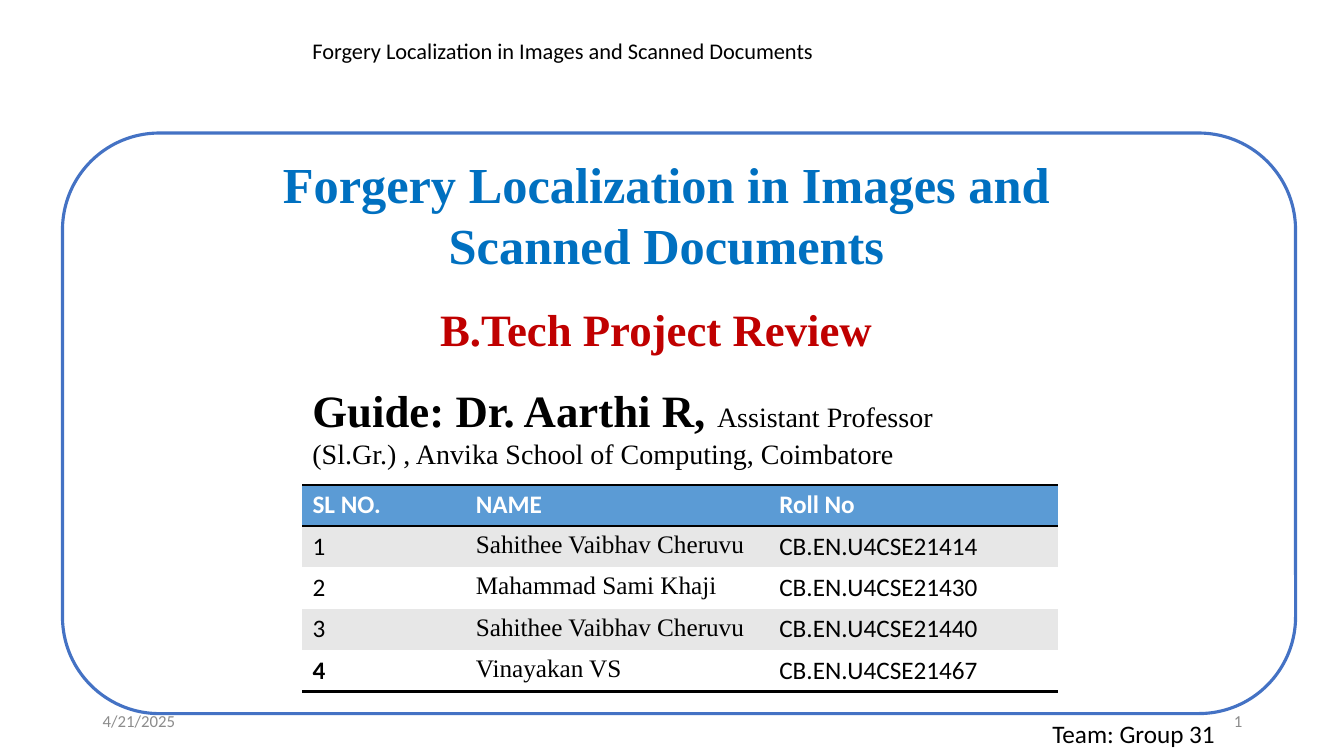
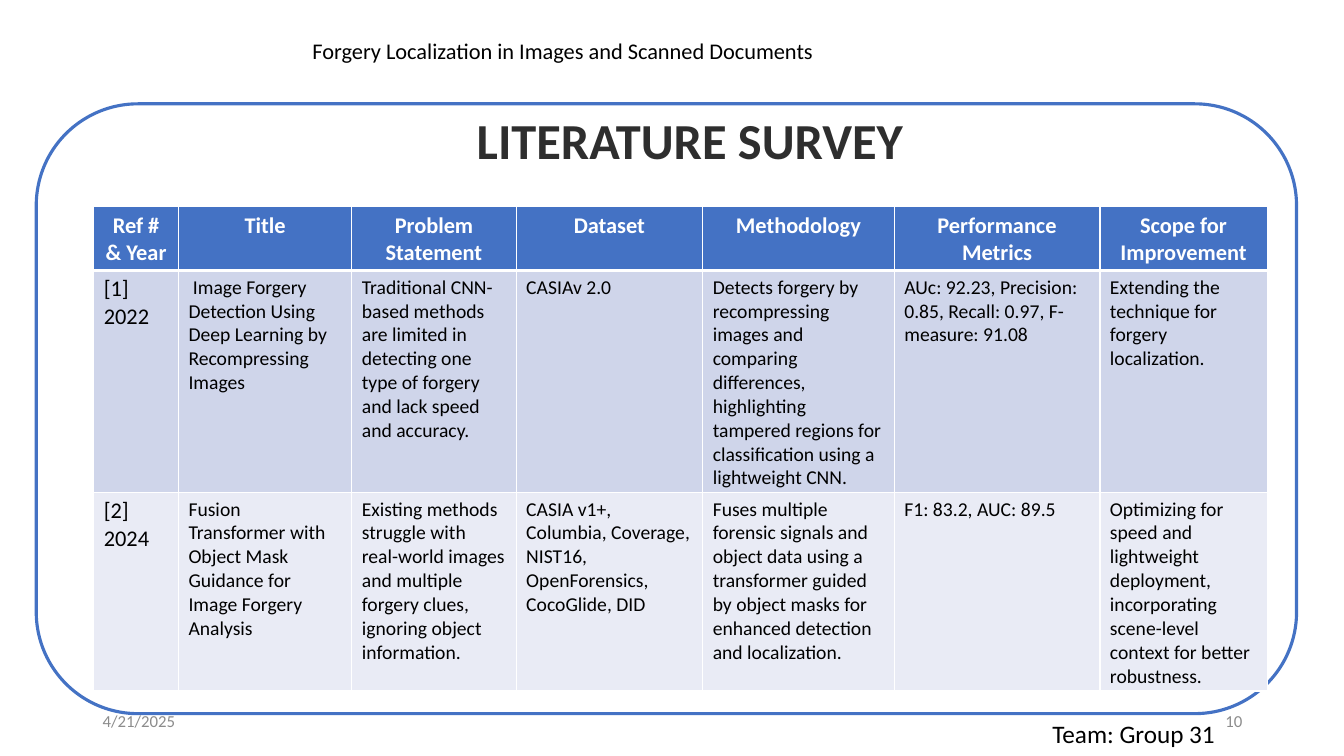
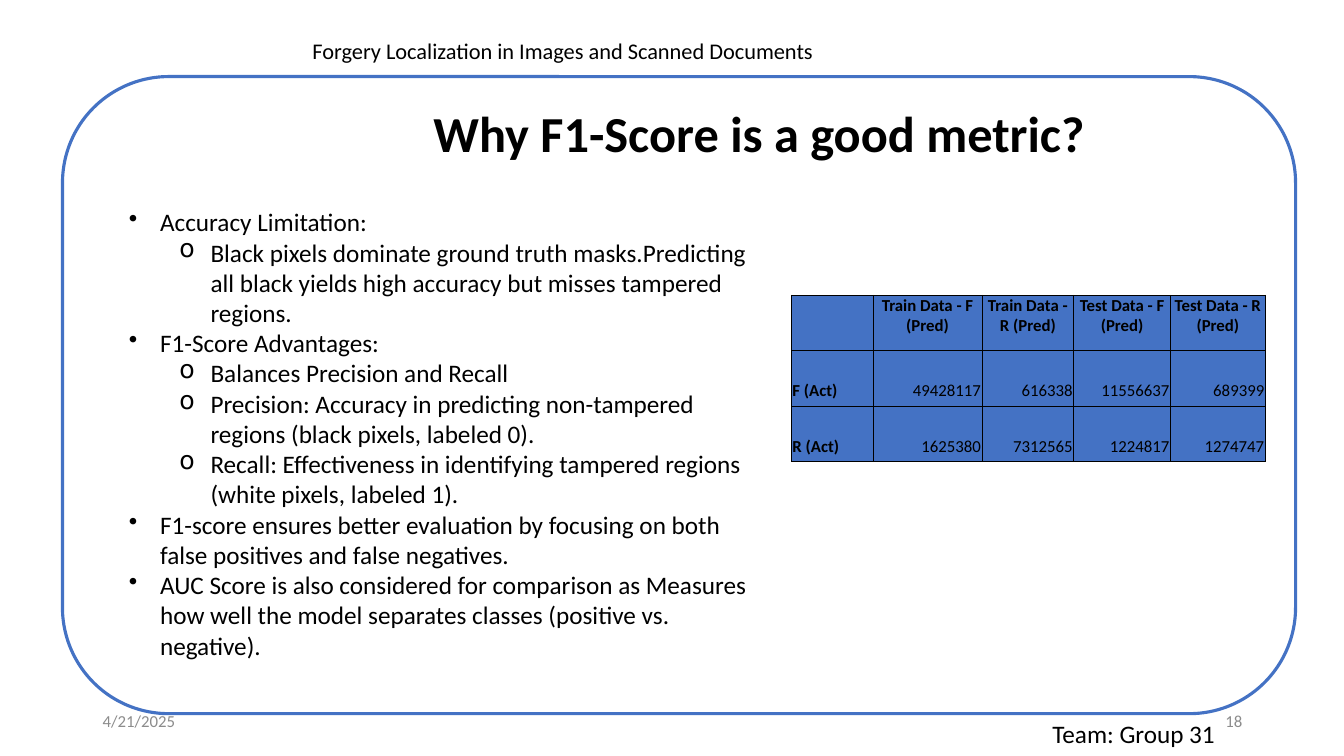
from dataclasses import dataclass, field, replace

from lxml import etree
from pptx import Presentation
from pptx.dml.color import RGBColor
from pptx.enum.shapes import MSO_SHAPE
from pptx.enum.text import MSO_ANCHOR, MSO_AUTO_SIZE, PP_ALIGN
from pptx.oxml.ns import qn
from pptx.slide import Slide
from pptx.table import _Cell
from pptx.text.text import TextFrame, _Paragraph
from pptx.util import Inches, Pt

LEFT, CENTER, RIGHT = PP_ALIGN.LEFT, PP_ALIGN.CENTER, PP_ALIGN.RIGHT
TOP, MIDDLE, BOTTOM = MSO_ANCHOR.TOP, MSO_ANCHOR.MIDDLE, MSO_ANCHOR.BOTTOM
ROUNDED = MSO_SHAPE.ROUNDED_RECTANGLE
GROW = MSO_AUTO_SIZE.SHAPE_TO_FIT_TEXT

SANS, SERIF = "Calibri", "Times New Roman"
COLORS = {
    "white": "FFFFFF",
    "black": "000000",
    "blue": "4472C4",
    "title": "0070C0",
    "review": "C00000",
    "survey": "2E2E2E",
    "footer": "8C8C8C",
    "team_header": "5B9BD5",
    "team_band": "E7E7E7",
    "survey_band": "CFD5EA",
    "survey_light": "E9EBF5",
}
PROJECT = "Forgery Localization in Images and Scanned Documents"

Box = tuple[float, float, float, float]
Border = tuple[str, float]


@dataclass(frozen=True)
class CellStyle:
    fill: str
    size: float = 18
    font: str = SANS
    color: str = "black"
    bold: bool = False
    align: PP_ALIGN = LEFT
    anchor: MSO_ANCHOR = TOP
    margins: Box = (0.1, 0.05, 0.1, 0.05)
    spacing: float | None = None
    borders: dict[str, Border] = field(default_factory=dict)


@dataclass(frozen=True)
class Bullet:
    text: str
    level: int = 0


def rgb(name: str) -> RGBColor:
    return RGBColor.from_string(COLORS[name])


def write(paragraph: _Paragraph, text: str, *, size: float = 18, font: str = SANS,
          color: str = "black", bold: bool = False, align: PP_ALIGN = LEFT,
          spacing: float | None = None) -> None:
    paragraph.alignment = align
    if spacing:
        paragraph.line_spacing = Pt(spacing)
    if not text:
        return
    run = paragraph.add_run()
    run.text = text
    run.font.size = Pt(size)
    run.font.name = font
    run.font.bold = bold
    run.font.color.rgb = rgb(color)


def add_frame(slide: Slide, box: Box, anchor: MSO_ANCHOR = TOP) -> TextFrame:
    frame = slide.shapes.add_textbox(*map(Inches, box)).text_frame
    frame.word_wrap = True
    frame.vertical_anchor = anchor
    if anchor == TOP:
        frame.auto_size = GROW
    return frame


def add_line(slide: Slide, box: Box, text: str, *, anchor: MSO_ANCHOR = TOP, **style) -> None:
    write(add_frame(slide, box, anchor).paragraphs[0], text, **style)


def add_bullets(slide: Slide, box: Box, bullets: list[Bullet]) -> None:
    frame = add_frame(slide, box)
    for index, bullet in enumerate(bullets):
        paragraph = frame.add_paragraph() if index else frame.paragraphs[0]
        paragraph.level = bullet.level
        write(paragraph, bullet.text)
        properties = paragraph._p.get_or_add_pPr()
        properties.set("marL", str(Inches(0.31 + 0.5 * bullet.level)))
        properties.set("indent", str(Inches(-0.31)))
        etree.SubElement(properties, qn("a:buChar")).set("char", "•o"[bullet.level])


def draw_borders(cell: _Cell, borders: dict[str, Border]) -> None:
    properties = cell._tc.get_or_add_tcPr()
    for side in "LRTB":
        line = etree.SubElement(properties, qn(f"a:ln{side}"))
        if side in borders:
            color, width = borders[side]
            line.set("w", str(Pt(width)))
            paint = etree.SubElement(line, qn("a:solidFill"))
            etree.SubElement(paint, qn("a:srgbClr")).set("val", COLORS[color])
        else:
            etree.SubElement(line, qn("a:noFill"))


def fill_cell(cell: _Cell, text: str, style: CellStyle) -> None:
    draw_borders(cell, style.borders)
    cell.fill.solid()
    cell.fill.fore_color.rgb = rgb(style.fill)
    cell.vertical_anchor = style.anchor
    (cell.margin_left, cell.margin_top,
     cell.margin_right, cell.margin_bottom) = map(Inches, style.margins)
    for index, line in enumerate(text.split("\n")):
        paragraph = cell.text_frame.add_paragraph() if index else cell.text_frame.paragraphs[0]
        write(paragraph, line, size=style.size, font=style.font, color=style.color,
              bold=style.bold, align=style.align, spacing=style.spacing)


def add_grid(slide: Slide, left: float, top: float, widths: list[float], heights: list[float],
             rows: list[list[str]], styles: list[list[CellStyle]]) -> None:
    table = slide.shapes.add_table(
        len(heights), len(widths), Inches(left), Inches(top),
        Inches(sum(widths)), Inches(sum(heights))).table
    table.first_row = table.horz_banding = False
    for column, width in zip(table.columns, widths):
        column.width = Inches(width)
    for row, height, texts, row_styles in zip(table.rows, heights, rows, styles):
        row.height = Inches(height)
        for cell, text, style in zip(row.cells, texts, row_styles):
            fill_cell(cell, text, style)


def add_base(deck: Presentation, panel: Box, number: int) -> Slide:
    slide = deck.slides.add_slide(deck.slide_layouts[6])
    outline = slide.shapes.add_shape(ROUNDED, *map(Inches, panel))
    outline.shadow.inherit = False
    outline.fill.background()
    outline.line.color.rgb = rgb("blue")
    outline.line.width = Pt(2.25)
    add_line(slide, (3, 0.32, 7.78, 0.64), PROJECT, size=16)
    add_line(slide, (10.34, 7.08, 2.9, 0.4), "Team: Group 31")
    footer = {"anchor": MIDDLE, "size": 12, "color": "footer"}
    add_line(slide, (0.92, 6.95, 3, 0.4), "4/21/2025", **footer)
    add_line(slide, (9.42, 6.95, 3, 0.4), str(number), align=RIGHT, **footer)
    return slide


def build_cover(deck: Presentation) -> None:
    slide = add_base(deck, (0.62, 1.32, 12.23, 5.76), 1)
    add_line(slide, (2.32, 1.47, 8.58, 1.31), PROJECT,
             size=36, font=SERIF, color="title", bold=True, align=CENTER)
    add_line(slide, (3.91, 2.94, 5.2, 0.64), "B.Tech Project Review",
             size=32, font=SERIF, color="review", bold=True, align=CENTER)
    guide = add_frame(slide, (3, 3.75, 6.86, 1.51)).paragraphs[0]
    write(guide, "Guide: Dr. Aarthi R, ", size=32, font=SERIF, bold=True)
    write(guide, "Assistant Professor (Sl.Gr.) , Anvika School of Computing, Coimbatore",
          size=20, font=SERIF)

    members = [
        ["SL NO.", "NAME", "Roll No"],
        ["1", "Sahithee Vaibhav Cheruvu", "CB.EN.U4CSE21414"],
        ["2", "Mahammad Sami Khaji", "CB.EN.U4CSE21430"],
        ["3", "Sahithee Vaibhav Cheruvu", "CB.EN.U4CSE21440"],
        ["4", "Vinayakan VS", "CB.EN.U4CSE21467"],
    ]
    rule = ("black", 2)
    header = CellStyle("team_header", color="white", bold=True, borders={"T": rule, "B": rule})
    styles = [[header] * 3]
    last = len(members) - 1
    for index in range(1, len(members)):
        borders = {"T": rule} if index == 1 else {"B": rule} if index == last else {}
        body = CellStyle("team_band" if index % 2 else "white", borders=borders)
        styles.append([replace(body, bold=index == last), replace(body, font=SERIF), body])
    add_grid(slide, 3, 4.81, [1.62, 3.01, 2.86], [0.41] * 5, members, styles)


def build_survey(deck: Presentation) -> None:
    slide = add_base(deck, (0.36, 1.03, 12.5, 6.05), 10)
    add_line(slide, (4.63, 1.03, 4.52, 0.71), "LITERATURE SURVEY",
             size=36, color="survey", bold=True)
    papers = [
        ["Ref # & Year", "Title", "Problem Statement", "Dataset", "Methodology",
         "Performance Metrics", "Scope for Improvement"],
        ["[1]\n2022",
         " Image Forgery Detection Using Deep Learning by Recompressing Images",
         "Traditional CNN-based methods are limited in detecting one type of forgery "
         "and lack speed and accuracy.",
         "CASIAv 2.0",
         "Detects forgery by recompressing images and comparing differences, highlighting "
         "tampered regions for classification using a lightweight CNN.",
         "AUc: 92.23, Precision: 0.85, Recall: 0.97, F-measure: 91.08",
         "Extending the technique for forgery localization."],
        ["[2]\n2024",
         "Fusion Transformer with Object Mask Guidance for Image Forgery Analysis",
         "Existing methods struggle with real-world images and multiple forgery clues, "
         "ignoring object information.",
         "CASIA v1+, Columbia, Coverage, NIST16, OpenForensics, CocoGlide, DID",
         "Fuses multiple forensic signals and object data using a transformer guided by "
         "object masks for enhanced detection and localization.",
         "F1: 83.2, AUC: 89.5",
         "Optimizing for speed and lightweight deployment, incorporating scene-level "
         "context for better robustness."],
    ]
    thin, thick = ("white", 1), ("white", 3)
    edges = dict.fromkeys("LRTB", thin)
    header = CellStyle("blue", size=16, color="white", bold=True, align=CENTER,
                       borders=edges | {"B": thick})
    first = CellStyle("survey_band", size=14, borders=edges | {"T": thick})
    second = CellStyle("survey_light", size=14, borders=edges)
    styles = [[header] * 7]
    styles += [[replace(body, size=16)] + [body] * 6 for body in (first, second)]
    add_grid(slide, 0.93, 2.05, [0.84, 1.72, 1.63, 1.85, 1.9, 2.04, 1.66],
             [0.62, 2.19, 1.97], papers, styles)


def build_metric(deck: Presentation) -> None:
    slide = add_base(deck, (0.62, 0.76, 12.23, 6.32), 18)
    add_line(slide, (3.98, 0.96, 7.1, 0.71), "Why F1-Score is a good metric?",
             size=36, bold=True, align=CENTER)
    confusion = [
        ["", "Train Data - F (Pred)", "Train Data - R (Pred)",
         "Test Data - F (Pred)", "Test Data - R (Pred)"],
        ["F (Act)", "49428117", "616338", "11556637", "689399"],
        ["R (Act)", "1625380", "7312565", "1224817", "1274747"],
    ]
    value = CellStyle("blue", size=12, align=RIGHT, anchor=BOTTOM,
                      margins=(0.01, 0.01, 0.01, 0.05), spacing=14.2,
                      borders=dict.fromkeys("LRTB", ("black", 0.75)))
    predicted = replace(value, bold=True, align=CENTER, anchor=TOP)
    actual = replace(value, bold=True, align=LEFT)
    add_grid(slide, 7.85, 2.93, [0.81, 1.08, 0.91, 0.96, 0.94], [0.55] * 3, confusion,
             [[predicted] * 5] + [[actual] + [value] * 4] * 2)
    add_bullets(slide, (1.18, 2, 6.33, 4.95), [
        Bullet("Accuracy Limitation:"),
        Bullet("Black pixels dominate ground truth masks.Predicting all black yields "
               "high accuracy but misses tampered regions.", 1),
        Bullet("F1-Score Advantages:"),
        Bullet("Balances Precision and Recall", 1),
        Bullet("Precision: Accuracy in predicting non-tampered regions "
               "(black pixels, labeled 0).", 1),
        Bullet("Recall: Effectiveness in identifying tampered regions "
               "(white pixels, labeled 1).", 1),
        Bullet("F1-score ensures better evaluation by focusing on both false positives "
               "and false negatives."),
        Bullet("AUC Score is also considered for comparison as Measures how well the model "
               "separates classes (positive vs. negative)."),
    ])


def main() -> None:
    deck = Presentation()
    deck.slide_width, deck.slide_height = Inches(13.33), Inches(7.5)
    build_cover(deck)
    build_survey(deck)
    build_metric(deck)
    deck.save("out.pptx")


if __name__ == "__main__":
    main()
